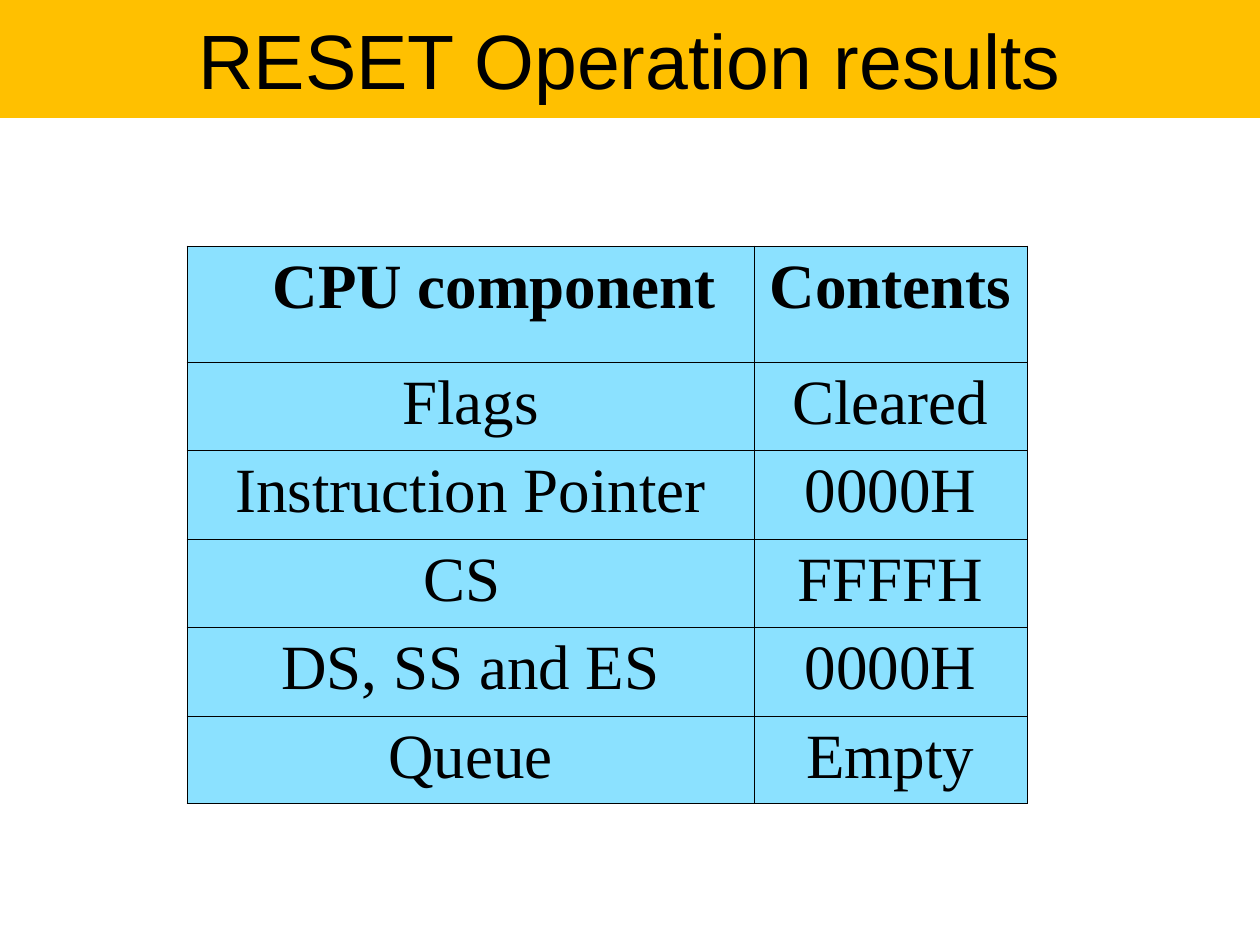
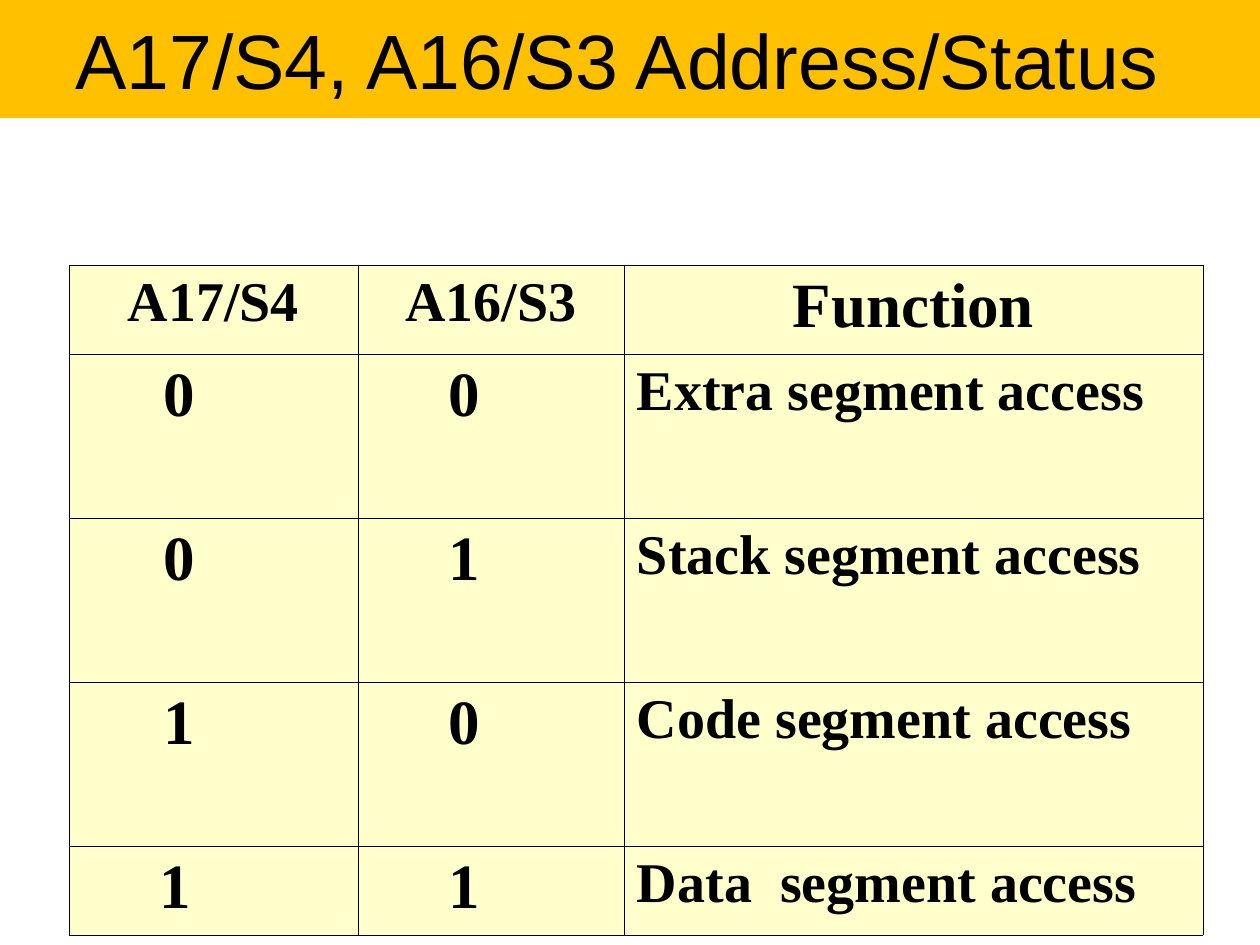
from lxml import etree
from pptx import Presentation
from pptx.dml.color import RGBColor
from pptx.enum.text import MSO_ANCHOR, MSO_AUTO_SIZE, PP_ALIGN
from pptx.oxml.ns import qn
from pptx.util import Emu, Pt

PX = 914400 / 126
SLIDE_WIDTH, SLIDE_HEIGHT = 1260, 945
BAND_HEIGHT = 118
INSET = 13
TITLE_ONLY = 5
BORDER_WIDTH = Pt(0.45)

BLACK = RGBColor(0x00, 0x00, 0x00)
AMBER = RGBColor(0xFF, 0xC0, 0x00)
SKY = RGBColor(0x8B, 0xE1, 0xFF)
CREAM = RGBColor(0xFF, 0xFF, 0xCC)

LEFT, CENTER = PP_ALIGN.LEFT, PP_ALIGN.CENTER
MIDDLE, TOP = MSO_ANCHOR.MIDDLE, MSO_ANCHOR.TOP
NO_AUTOFIT = MSO_AUTO_SIZE.NONE

TITLE_FONT = {"name": "Arial", "size": Pt(44), "bold": False}
BODY_FONT = {"name": "Times New Roman", "size": Pt(36), "bold": False}
HEADER_FONT = BODY_FONT | {"bold": True}
SMALL_HEADER_FONT = HEADER_FONT | {"size": Pt(32)}

RESET_ROWS = [
    ("CPU component", "Contents"),
    ("Flags", "Cleared"),
    ("Instruction Pointer", "0000H"),
    ("CS", "FFFFH"),
    ("DS, SS and ES", "0000H"),
    ("Queue", "Empty"),
]
STATUS_ROWS = [
    ("A17/S4", "A16/S3", "Function"),
    ("0", "0", "Extra segment access"),
    ("0", "1", "Stack segment access"),
    ("1", "0", "Code segment access"),
    ("1", "1", "Data  segment access"),
]


def px(length):
    return Emu(round(length * PX))


def set_attributes(target, values):
    for name, value in values.items():
        setattr(target, name, value)


def write_text(text_frame, text, font, alignment):
    text_frame.text = text
    paragraph = text_frame.paragraphs[0]
    paragraph.alignment = alignment
    set_attributes(paragraph.font, font)
    paragraph.font.color.rgb = BLACK


def add_titled_slide(presentation, text, right_inset=INSET):
    """Add a slide whose title fills the amber band across the top."""
    slide = presentation.slides.add_slide(presentation.slide_layouts[TITLE_ONLY])
    title = slide.shapes.title
    set_attributes(title, {"left": 0, "top": 0, "width": px(SLIDE_WIDTH),
                           "height": px(BAND_HEIGHT)})
    title.fill.solid()
    title.fill.fore_color.rgb = AMBER
    set_attributes(title.text_frame, {
        "word_wrap": True, "auto_size": NO_AUTOFIT, "vertical_anchor": MIDDLE,
        "margin_left": px(INSET), "margin_right": px(right_inset),
    })
    write_text(title.text_frame, text, TITLE_FONT, CENTER)
    return slide


def add_cell_borders(cell):
    properties = cell._tc.get_or_add_tcPr()
    for side in ("a:lnL", "a:lnR", "a:lnT", "a:lnB"):
        line = etree.SubElement(properties, qn(side), w=str(BORDER_WIDTH))
        fill = etree.SubElement(line, qn("a:solidFill"))
        etree.SubElement(fill, qn("a:srgbClr"), val=str(BLACK))


def add_grid(slide, left, top, widths, heights, rows, color, cell_format):
    """Add a table; cell_format(row, column) gives font, alignment and insets."""
    frame = slide.shapes.add_table(len(rows), len(widths), px(left), px(top),
                                   px(sum(widths)), px(sum(heights)))
    table = frame.table
    set_attributes(table, {"first_row": False, "horz_banding": False})
    for column, width in zip(table.columns, widths):
        column.width = px(width)
    for row, height in zip(table.rows, heights):
        row.height = px(height)
    for row_index, texts in enumerate(rows):
        for column_index, text in enumerate(texts):
            cell = table.cell(row_index, column_index)
            font, alignment, left_inset, right_inset = cell_format(row_index, column_index)
            add_cell_borders(cell)
            cell.fill.solid()
            cell.fill.fore_color.rgb = color
            set_attributes(cell, {"vertical_anchor": TOP, "margin_left": px(left_inset),
                                  "margin_right": px(right_inset)})
            write_text(cell.text_frame, text, font, alignment)


def reset_format(row, column):
    font = HEADER_FONT if row == 0 else BODY_FONT
    left_inset = 60 if (row, column) == (0, 0) else INSET
    right_inset = 30 if (row, column) == (3, 0) else INSET
    return font, CENTER, left_inset, right_inset


def status_format(row, column):
    is_function = column == 2
    if row == 0:
        font = HEADER_FONT if is_function else SMALL_HEADER_FONT
        return font, CENTER, INSET, INSET
    if is_function:
        return SMALL_HEADER_FONT, LEFT, INSET, INSET
    left_inset = 95 if column == 0 and row < 4 else 91
    return HEADER_FONT, LEFT, left_inset, INSET


def main():
    presentation = Presentation()
    presentation.slide_width = px(SLIDE_WIDTH)
    presentation.slide_height = px(SLIDE_HEIGHT)

    slide = add_titled_slide(presentation, "RESET Operation results")
    add_grid(slide, 187, 246, [567, 273], [116, 88, 89, 88, 89, 88],
             RESET_ROWS, SKY, reset_format)

    slide = add_titled_slide(presentation, "A17/S4, A16/S3 Address/Status", right_inset=38)
    add_grid(slide, 69, 265, [289, 266, 579], [89, 164, 164, 164, 89],
             STATUS_ROWS, CREAM, status_format)

    presentation.save("out.pptx")


if __name__ == "__main__":
    main()
